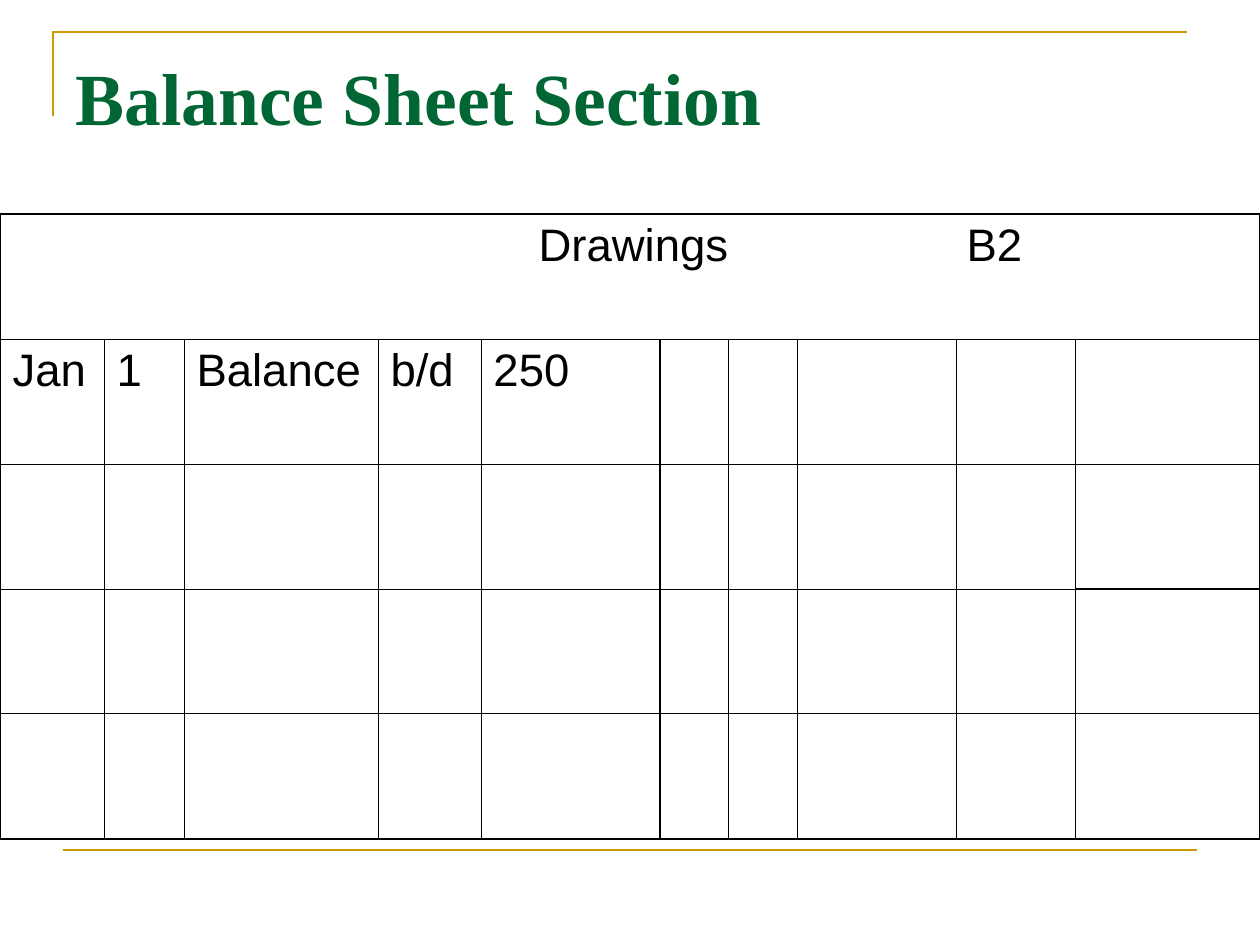
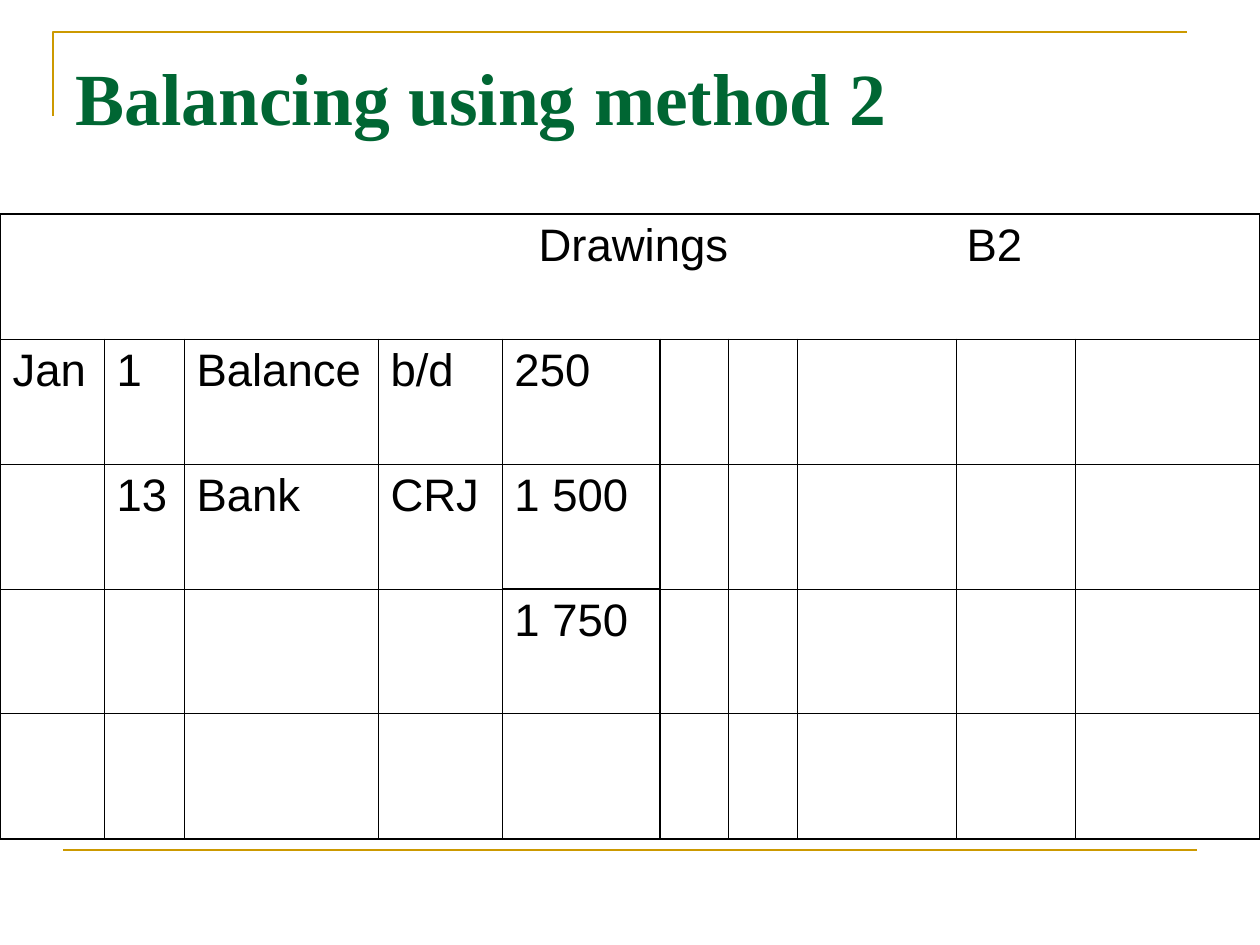
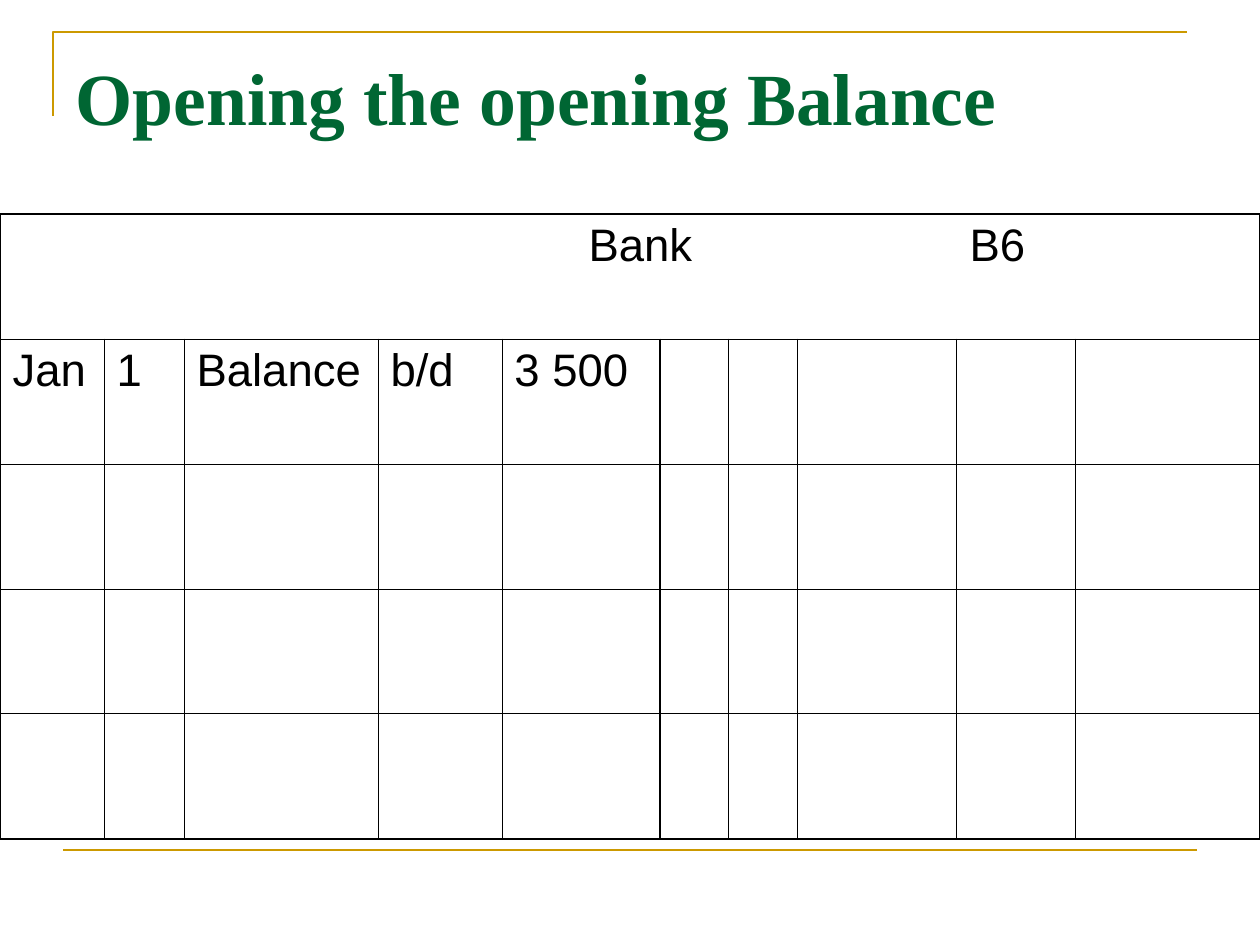
from dataclasses import dataclass

from lxml.etree import SubElement
from pptx import Presentation
from pptx.dml.color import RGBColor
from pptx.enum.shapes import MSO_CONNECTOR
from pptx.enum.text import MSO_ANCHOR, PP_ALIGN
from pptx.oxml.ns import qn
from pptx.util import Emu, Pt


@dataclass(frozen=True)
class Theme:
    gold: str = "CC9900"
    green: str = "006633"
    black: str = "000000"
    white: str = "FFFFFF"
    title_font: str = "Times New Roman"
    body_font: str = "Arial"
    title_size: int = 42
    body_size: int = 26
    rule_width: float = 1.5
    thin: float = 0.45
    outer: float = 1.08
    centre: float = 1.47


theme = Theme()
scale = 914400 / 126


def px(length):
    return Emu(round(length * scale))


def write(frame, text, font, size, color, bold=False, tabs=()):
    para = frame.paragraphs[0]
    para.alignment = PP_ALIGN.LEFT
    if tabs:
        tab_list = SubElement(para._p.get_or_add_pPr(), qn("a:tabLst"))
        for position in tabs:
            SubElement(tab_list, qn("a:tab"), pos=str(px(position)), algn="l")
    span = para.add_run()
    span.text = text
    span.font.name = font
    span.font.size = Pt(size)
    span.font.bold = bold
    span.font.color.rgb = RGBColor.from_string(color)


narrow_folio = [104, 80, 194, 103, 179, 69, 69, 159, 119, 184]
wide_folio = [104, 80, 194, 124, 158, 69, 69, 159, 119, 184]
row_count, row_height, debit_columns = 5, 125, 5

accounts = [
    {
        "title": "Balance Sheet Section",
        "heading": "\tDrawings\tB2",
        "tabs": (526, 954),
        "widths": narrow_folio,
        "entries": [["Jan", "1", "Balance", "b/d", "250"]],
        "total_line": (3, 9),
    },
    {
        "title": "Balancing using method 2",
        "heading": "\tDrawings\tB2",
        "tabs": (526, 954),
        "widths": wide_folio,
        "entries": [
            ["Jan", "1", "Balance", "b/d", "250"],
            ["", "13", "Bank", "CRJ", "1 500"],
            ["", "", "", "", "1 750"],
        ],
        "total_line": (3, 4),
    },
    {
        "title": "Opening the opening Balance",
        "heading": "\tBank\tB6",
        "tabs": (576, 957),
        "widths": wide_folio,
        "entries": [["Jan", "1", "Balance", "b/d", "3 500"]],
        "total_line": None,
    },
]

deck = Presentation()
deck.slide_width, deck.slide_height = px(1260), px(945)
layout = deck.slide_layouts.get_by_name("Title Only")
pages = [deck.slides.add_slide(layout) for account in accounts]

outline = pages[0].shapes.build_freeform(53, 116, scale=scale)
outline.add_line_segments([(53, 32), (1187, 32)], close=False)
corner = outline.convert_to_shape()
corner.fill.background()
corner.shadow.inherit = False
footer_rule = pages[0].shapes.add_connector(
    MSO_CONNECTOR.STRAIGHT, px(63), px(850), px(1197), px(850)
)
for rule in (corner, footer_rule):
    rule.line.color.rgb = RGBColor.from_string(theme.gold)
    rule.line.width = Pt(theme.rule_width)
SubElement(footer_rule._element.spPr, qn("a:effectLst"))
for rule in (corner, footer_rule):
    layout.shapes.element.append(rule._element)

for page, account in zip(pages, accounts):
    title = page.shapes.title
    title.left, title.top, title.width, title.height = px(63), px(38), px(1134), px(157)
    title.text_frame.vertical_anchor = MSO_ANCHOR.TOP
    title.text_frame.margin_top = px(14)
    write(title.text_frame, account["title"], font=theme.title_font,
          size=theme.title_size, color=theme.green, bold=True)

    widths = account["widths"]
    table = page.shapes.add_table(
        row_count, len(widths), px(0), px(214), px(sum(widths)), px(row_count * row_height)
    ).table
    table.first_row = False
    table.horz_banding = False
    for column, width in zip(table.columns, widths):
        column.width = px(width)
    for row in table.rows:
        row.height = px(row_height)
    table.cell(0, 0).merge(table.cell(0, len(widths) - 1))

    for row in range(row_count):
        for column in range(len(widths)):
            cell = table.cell(row, column)
            if cell.is_spanned:
                cell.fill.background()
                continue
            right = column + (cell.span_width if cell.is_merge_origin else 1)
            edges = {"a:lnL": column, "a:lnR": right, "a:lnT": row, "a:lnB": row + 1}
            for tag, edge in edges.items():
                vertical = tag in ("a:lnL", "a:lnR")
                last = len(widths) if vertical else row_count
                if edge in (0, last):
                    weight = theme.outer
                elif vertical and edge == debit_columns:
                    weight = theme.centre
                elif not vertical and (edge, column) == account["total_line"]:
                    weight = theme.outer
                else:
                    weight = theme.thin
                border = SubElement(cell._tc.get_or_add_tcPr(), qn(tag), w=str(Pt(weight)))
                fill = SubElement(border, qn("a:solidFill"))
                SubElement(fill, qn("a:srgbClr"), val=theme.black)
            if row == 2 and column >= debit_columns:
                cell.fill.solid()
                cell.fill.fore_color.rgb = RGBColor.from_string(theme.white)
            else:
                cell.fill.background()

    body = {"font": theme.body_font, "size": theme.body_size, "color": theme.black}
    write(table.cell(0, 0).text_frame, account["heading"], tabs=account["tabs"], **body)
    for row, entry in enumerate(account["entries"], start=1):
        for column, text in enumerate(entry):
            if text:
                write(table.cell(row, column).text_frame, text, **body)

deck.save("out.pptx")
